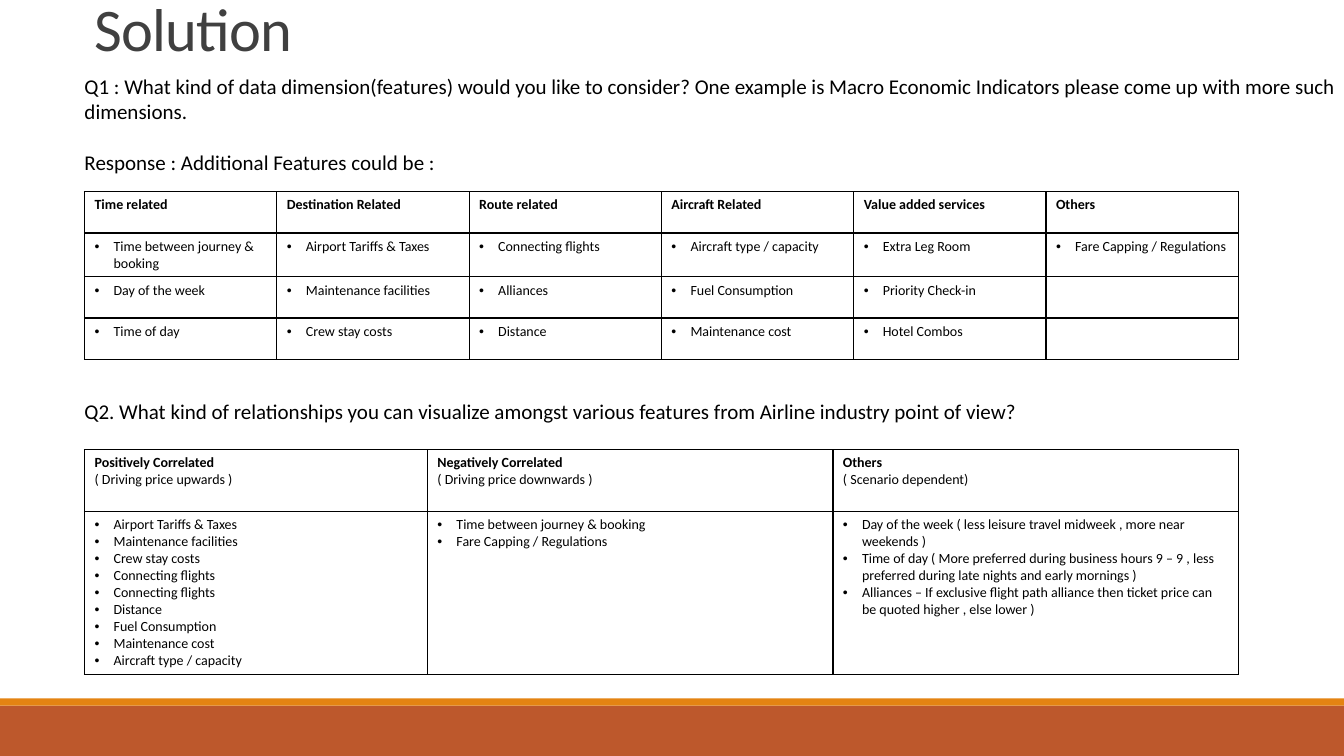
from dataclasses import dataclass

from lxml.etree import SubElement
from pptx import Presentation
from pptx.dml.color import RGBColor
from pptx.enum.shapes import MSO_SHAPE as Preset
from pptx.enum.text import MSO_ANCHOR as Anchor
from pptx.oxml.ns import qn
from pptx.util import Cm, Pt


@dataclass(frozen=True)
class Theme:
    """Colours, font and type sizes of the slide."""
    font: str = "Calibri"
    black: str = "000000"
    title_grey: str = "404040"
    rust: str = "BD582C"
    orange: str = "E48312"
    title_size: float = 43.2
    body_size: float = 15
    table_size: float = 10


@dataclass(frozen=True)
class Line:
    """One paragraph of text with its look."""
    text: str
    size: float
    color: str = "000000"
    bold: bool = False
    bullet: bool = False
    format: tuple = ()


@dataclass(frozen=True)
class Box:
    """A place on the slide, in centimetres."""
    left: float
    top: float
    width: float
    height: float

    def lengths(self) -> tuple:
        """Return the four lengths for python-pptx."""
        return Cm(self.left), Cm(self.top), Cm(self.width), Cm(self.height)


@dataclass(frozen=True)
class Grid:
    """A table: top, column widths, row heights and lines per cell."""
    top: float
    widths: list
    heights: list
    rows: list


THEME = Theme()
SLIDE_WIDTH, SLIDE_HEIGHT = 33.87, 19.05
LEFT = 2.13
TEXT_WIDTH = SLIDE_WIDTH - LEFT
TABLE_WIDTH = 29.08


def set_formats(target, formats: dict) -> None:
    """Set each named attribute on the target."""
    for name, value in formats.items():
        setattr(target, name, value)


def add_bullet(paragraph) -> None:
    """Give the paragraph a round bullet with a hanging indent."""
    properties = paragraph._p.get_or_add_pPr()
    properties.set("marL", str(Cm(0.48)))
    properties.set("indent", str(-Cm(0.48)))
    SubElement(properties, qn("a:buFont")).set("typeface", "Arial")
    SubElement(properties, qn("a:buChar")).set("char", "•")


def write_lines(frame, lines: list) -> None:
    """Fill a text frame, one paragraph for each line."""
    for index, line in enumerate(lines):
        paragraph = frame.add_paragraph() if index else frame.paragraphs[0]
        set_formats(paragraph, dict(line.format))
        if line.bullet:
            add_bullet(paragraph)
        run = paragraph.add_run()
        run.text = line.text
        set_formats(run.font, {"name": THEME.font, "size": Pt(line.size), "bold": line.bold})
        run.font.color.rgb = RGBColor.from_string(line.color)


def add_text(slide, box: Box, lines: list, formats: dict):
    """Add a wrapping text box and return its text frame."""
    frame = slide.shapes.add_textbox(*box.lengths()).text_frame
    set_formats(frame, {"word_wrap": True, **formats})
    write_lines(frame, lines)
    return frame


def add_band(slide, box: Box, color: str) -> None:
    """Add a plain coloured band."""
    shape = slide.shapes.add_shape(Preset.RECTANGLE, *box.lengths())
    shape.shadow.inherit = False
    shape.fill.solid()
    shape.fill.fore_color.rgb = RGBColor.from_string(color)
    shape.line.fill.background()


def add_borders(cell) -> None:
    """Draw a thin black line on all four sides of the cell."""
    properties = cell._tc.get_or_add_tcPr()
    for side in ("lnL", "lnR", "lnT", "lnB"):
        border = SubElement(properties, qn(f"a:{side}"), w=str(Pt(1)))
        fill = SubElement(border, qn("a:solidFill"))
        SubElement(fill, qn("a:srgbClr")).set("val", THEME.black)


def add_grid(slide, grid: Grid) -> None:
    """Add a bordered table without fills."""
    box = Box(LEFT, grid.top, sum(grid.widths), sum(grid.heights))
    table = slide.shapes.add_table(len(grid.heights), len(grid.widths), *box.lengths()).table
    set_formats(table, {"first_row": False, "horz_banding": False})
    for column, width in zip(table.columns, grid.widths):
        column.width = Cm(width)
    for row, height, contents in zip(table.rows, grid.heights, grid.rows):
        row.height = Cm(height)
        for cell, lines in zip(row.cells, contents):
            add_borders(cell)
            cell.fill.background()
            write_lines(cell.text_frame, lines)


def heading(text: str, note: str = "") -> list:
    """Return a bold heading, with a plain note below it if given."""
    lines = [Line(text, THEME.table_size, bold=True)]
    return lines + [Line(note, THEME.table_size)] if note else lines


def bullets(*texts: str) -> list:
    """Return bulleted lines, leaving out empty texts."""
    return [Line(text, THEME.table_size, bullet=True) for text in texts if text]


FEATURES = {
    "Time related": ["Time between journey & booking", "Day of the week", "Time of day"],
    "Destination Related": ["Airport Tariffs & Taxes", "Maintenance facilities",
                            "Crew stay costs"],
    "Route related": ["Connecting flights", "Alliances", "Distance"],
    "Aircraft Related": ["Aircraft type / capacity", "Fuel Consumption", "Maintenance cost"],
    "Value added services": ["Extra Leg Room", "Priority Check-in", "Hotel Combos"],
    "Others": ["Fare Capping / Regulations", "", ""],
}
CORRELATIONS = {
    ("Positively Correlated", "( Driving price upwards )"): [
        "Airport Tariffs & Taxes", "Maintenance facilities", "Crew stay costs",
        "Connecting flights", "Connecting flights", "Distance", "Fuel Consumption",
        "Maintenance cost", "Aircraft type / capacity"],
    ("Negatively Correlated", "( Driving price downwards )"): [
        "Time between journey & booking", "Fare Capping / Regulations"],
    ("Others", "( Scenario dependent)"): [
        "Day of the week ( less leisure travel midweek , more near weekends )",
        "Time of day ( More preferred during business hours 9 – 9 , less preferred "
        "during late nights and early mornings )",
        "Alliances – If exclusive flight path alliance then ticket price can be quoted "
        "higher , else lower )"],
}
QUESTION_1 = ("Q1 : What kind of data dimension(features) would you like to consider? One example "
              "is Macro Economic Indicators please come up with more such dimensions.")
RESPONSE = "Response : Additional Features could be :"
QUESTION_2 = ("Q2. What kind of relationships you can visualize amongst various features from "
              "Airline industry point of view?")

presentation = Presentation()
set_formats(presentation, {"slide_width": Cm(SLIDE_WIDTH), "slide_height": Cm(SLIDE_HEIGHT)})
slide = presentation.slides.add_slide(presentation.slide_layouts[6])

add_band(slide, Box(0, 17.78, SLIDE_WIDTH, 1.27), THEME.rust)
add_band(slide, Box(0, 17.6, SLIDE_WIDTH, 0.18), THEME.orange)

title = Line("Solution", THEME.title_size, THEME.title_grey, format=(("line_spacing", 0.85),))
title_frame = add_text(slide, Box(LEFT, 0, TEXT_WIDTH, 1.73), [title],
                       {"vertical_anchor": Anchor.BOTTOM})
title_frame.paragraphs[0].runs[0].font._element.set("spc", "-50")

flush = {"margin_left": 0, "margin_right": 0}
response = Line(RESPONSE, THEME.body_size, format=(("space_before", Pt(18)),))
add_text(slide, Box(LEFT, 1.73, TEXT_WIDTH, 3), [Line(QUESTION_1, THEME.body_size), response], flush)
add_text(slide, Box(LEFT, 9.93, TEXT_WIDTH, 1), [Line(QUESTION_2, THEME.body_size)], flush)

feature_rows = [[bullets(text) for text in row] for row in zip(*FEATURES.values())]
add_grid(slide, Grid(4.83, [TABLE_WIDTH / 6] * 6, [1.04] * 4,
                     [[heading(name) for name in FEATURES], *feature_rows]))
add_grid(slide, Grid(11.33, [8.64, 10.22, 10.22], [1.55, 4.12],
                     [[heading(*names) for names in CORRELATIONS],
                      [bullets(*texts) for texts in CORRELATIONS.values()]]))

presentation.save("out.pptx")
